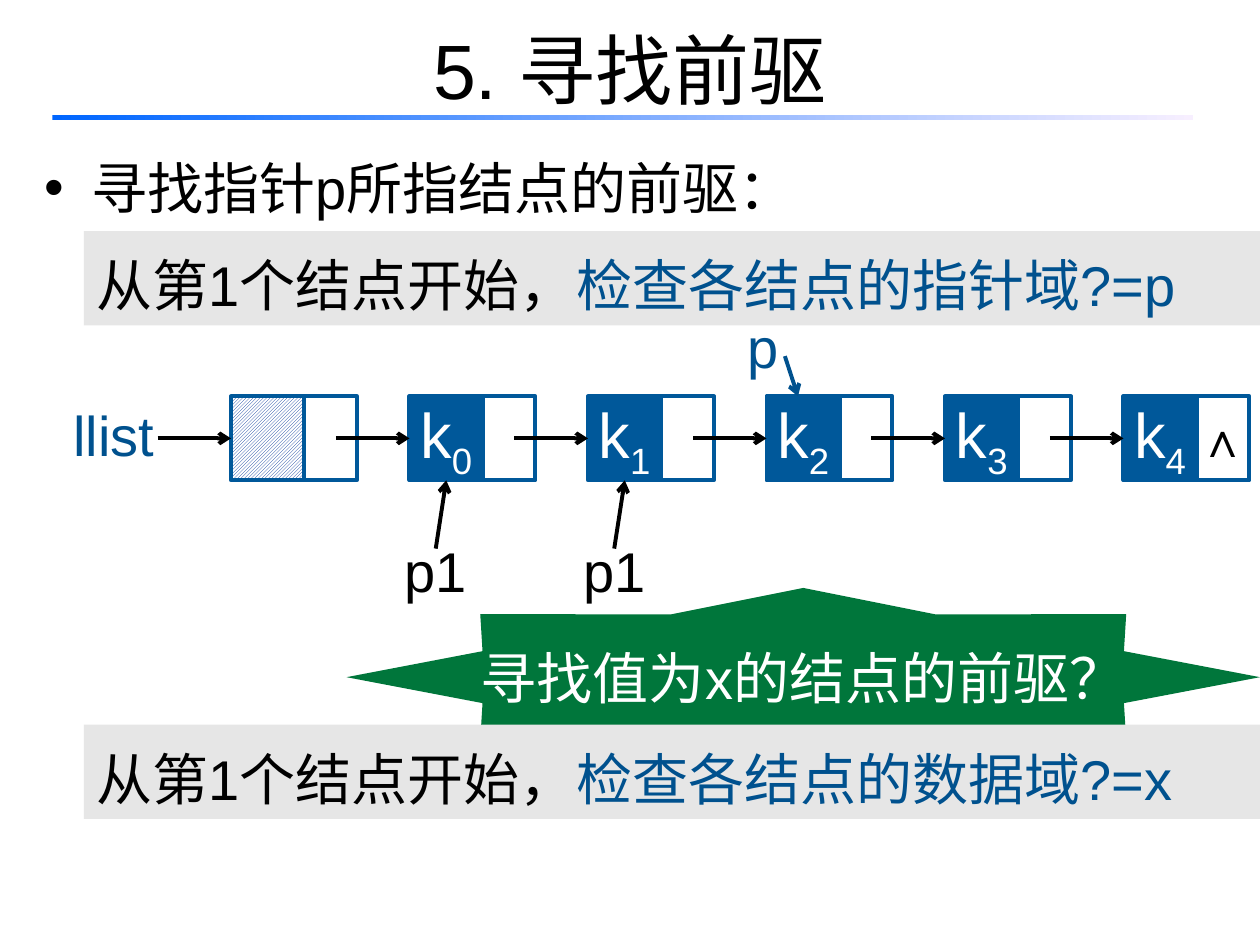
from pptx import Presentation
from pptx.dml.color import RGBColor
from pptx.enum import dml, shapes, text
from pptx.oxml.ns import qn
from pptx.util import Pt
from lxml import etree

BLACK = RGBColor(0x00, 0x00, 0x00)
WHITE = RGBColor(0xFF, 0xFF, 0xFF)
GREY = RGBColor(0xE6, 0xE6, 0xE6)
GREEN = RGBColor(0x00, 0x76, 0x3B)
NODE_BLUE = RGBColor(0x00, 0x58, 0x9A)
TEXT_BLUE = RGBColor(0x00, 0x51, 0x8E)
HATCH_BLUE = RGBColor(0x00, 0x33, 0x99)
RULE_START = RGBColor(0x00, 0x66, 0xFF)
RULE_END = RGBColor(0xF7, 0xEF, 0xFF)

LINE_WIDTH = 2.25
NODE_PITCH, NODE_HEIGHT = 102, 48
DATA_WIDTH, LINK_LEFT, LINK_WIDTH = 42, 35, 37
ARROW_LENGTH = 42
MIDDLE = text.MSO_ANCHOR.MIDDLE
TOP = text.MSO_ANCHOR.TOP
CENTER = text.PP_ALIGN.CENTER


def apply(target, values):
    for name, value in values.items():
        setattr(target, name, value)


def place(shape, box):
    apply(shape, dict(zip(("left", "top", "width", "height"), map(Pt, box))))


def write(shape, runs, size=32, frame=None, paragraph=None):
    """Fill one paragraph with (words, colour) runs."""
    apply(shape.text_frame, frame or {})
    line = shape.text_frame.paragraphs[0]
    apply(line, {"space_before": Pt(0), **(paragraph or {})})
    for words, color in runs:
        run = line.add_run()
        run.text = words
        apply(run.font, {"name": "Arial", "size": Pt(size)})
        run.font.color.rgb = color
    return line


def add_block(slide, kind, box, fill=None, line=None):
    shape = slide.shapes.add_shape(kind, *map(Pt, box))
    shape.shadow.inherit = False
    if fill is None:
        shape.fill.background()
    else:
        shape.fill.solid()
        shape.fill.fore_color.rgb = fill
    if line is None:
        shape.line.fill.background()
    else:
        shape.line.color.rgb = line
        shape.line.width = Pt(LINE_WIDTH)
    return shape


def add_rectangle(slide, box, fill=None, line=None):
    return add_block(slide, shapes.MSO_SHAPE.RECTANGLE, box, fill, line)


def add_arrow(slide, start, end, color=BLACK):
    arrow = slide.shapes.add_connector(
        shapes.MSO_CONNECTOR.STRAIGHT, *map(Pt, (*start, *end)))
    arrow.line.color.rgb = color
    arrow.line.width = Pt(LINE_WIDTH)
    properties = arrow._element.spPr
    outline = properties.find(qn("a:ln"))
    etree.SubElement(outline, qn("a:tailEnd"), type="arrow")
    etree.SubElement(properties, qn("a:effectLst"))


def add_label(slide, box, words, color, frame, spacing):
    label = slide.shapes.add_textbox(*map(Pt, box))
    write(label, [(words, color)], frame=frame,
          paragraph={"alignment": CENTER, "line_spacing": spacing})


def add_heading(slide, box):
    left, top, width, height = box
    title = slide.shapes.title
    place(title, box)
    write(title, [("5. 寻找前驱", BLACK)], 44,
          {"vertical_anchor": MIDDLE, "auto_size": text.MSO_AUTO_SIZE.NONE},
          {"alignment": CENTER})
    rule = add_rectangle(slide, (left - 6, top + 71.5, width + 4, 3), WHITE)
    rule.fill.gradient()
    rule.fill.gradient_angle = 0
    for stop, color in zip(rule.fill.gradient_stops, (RULE_START, RULE_END)):
        stop.color.rgb = color


def add_task(slide, box):
    body = slide.placeholders[1]
    place(body, box)
    write(body, [("寻找指针p所指结点的前驱：", BLACK)],
          frame={"auto_size": text.MSO_AUTO_SIZE.NONE})


def add_node(slide, left, top, index=None):
    """Draw a data cell and a link cell; a node without index is the head."""
    link = add_rectangle(
        slide, (left + LINK_LEFT, top, LINK_WIDTH, NODE_HEIGHT), line=NODE_BLUE)
    data = add_rectangle(
        slide, (left, top, DATA_WIDTH, NODE_HEIGHT), NODE_BLUE, NODE_BLUE)
    if index is None:
        data.fill.patterned()
        data.fill.pattern = dml.MSO_PATTERN.LIGHT_UPWARD_DIAGONAL
        data.fill.fore_color.rgb = HATCH_BLUE
        data.fill.back_color.rgb = WHITE
    else:
        line = write(data, [("k", WHITE), (str(index), WHITE)], 36,
                     {"vertical_anchor": MIDDLE, "word_wrap": False},
                     {"alignment": CENTER})
        line.runs[1]._r.get_or_add_rPr().set("baseline", "-25000")
    return link


def add_linked_list(slide, box):
    left, top, width, height = box
    add_label(slide, (left, top, 61, height), "llist", TEXT_BLUE,
              {"vertical_anchor": MIDDLE, "word_wrap": False}, 0.9)

    first = left + 97.5
    node_lefts = [first + NODE_PITCH * step for step in range(6)]
    for index, x in zip((None, 0, 1, 2, 3, 4), node_lefts):
        last_link = add_node(slide, x, top, index)
    null = write(last_link, [("∧", BLACK)], 28,
                 {"vertical_anchor": MIDDLE, "word_wrap": False,
                  "margin_left": Pt(14)}, {"alignment": CENTER})
    null.runs[0].font.bold = True

    middle = top + height / 2
    for x in node_lefts:
        add_arrow(slide, (x - ARROW_LENGTH, middle), (x, middle))

    pointer = {"word_wrap": True, "vertical_anchor": TOP,
               "auto_size": text.MSO_AUTO_SIZE.SHAPE_TO_FIT_TEXT}
    for x in node_lefts[1:3]:
        add_label(slide, (x - 12, top + 87, 54, 35), "p1", BLACK, pointer, 0.7)
        add_arrow(slide, (x + 15, top + 87), (x + 21, top + height))
    x = node_lefts[3]
    add_label(slide, (x - 18, top - 41, 28, 35), "p", TEXT_BLUE, pointer, 0.7)
    add_arrow(slide, (x + 10.5, top - 23), (x + 18, top), TEXT_BLUE)


def add_step(slide, box, check):
    bar = add_rectangle(slide, box, GREY)
    write(bar, [("从第1个结点开始，", BLACK), (check, TEXT_BLUE)],
          frame={"vertical_anchor": TOP, "word_wrap": True},
          paragraph={"alignment": text.PP_ALIGN.LEFT, "line_spacing": 1.2})


def add_question(slide, box):
    star = add_block(slide, shapes.MSO_SHAPE.STAR_8_POINT, box, GREEN)
    star.adjustments[0] = 0.38
    write(star, [("寻找值为x的结点的前驱？", WHITE)],
          frame={"vertical_anchor": MIDDLE, "word_wrap": False},
          paragraph={"alignment": CENTER})


def main():
    presentation = Presentation()
    presentation.slide_width, presentation.slide_height = Pt(720), Pt(540)
    slide = presentation.slides.add_slide(presentation.slide_layouts[1])
    add_heading(slide, (36, -6, 648, 90))
    add_task(slide, (18, 84, 684, 48))
    add_linked_list(slide, (34.5, 226.5, 680, NODE_HEIGHT))
    add_step(slide, (48, 132, 672, 54), "检查各结点的指针域?=p")
    add_question(slide, (198, 336, 522, 102))
    add_step(slide, (48, 414, 672, 54), "检查各结点的数据域?=x")
    presentation.save("out.pptx")


if __name__ == "__main__":
    main()
